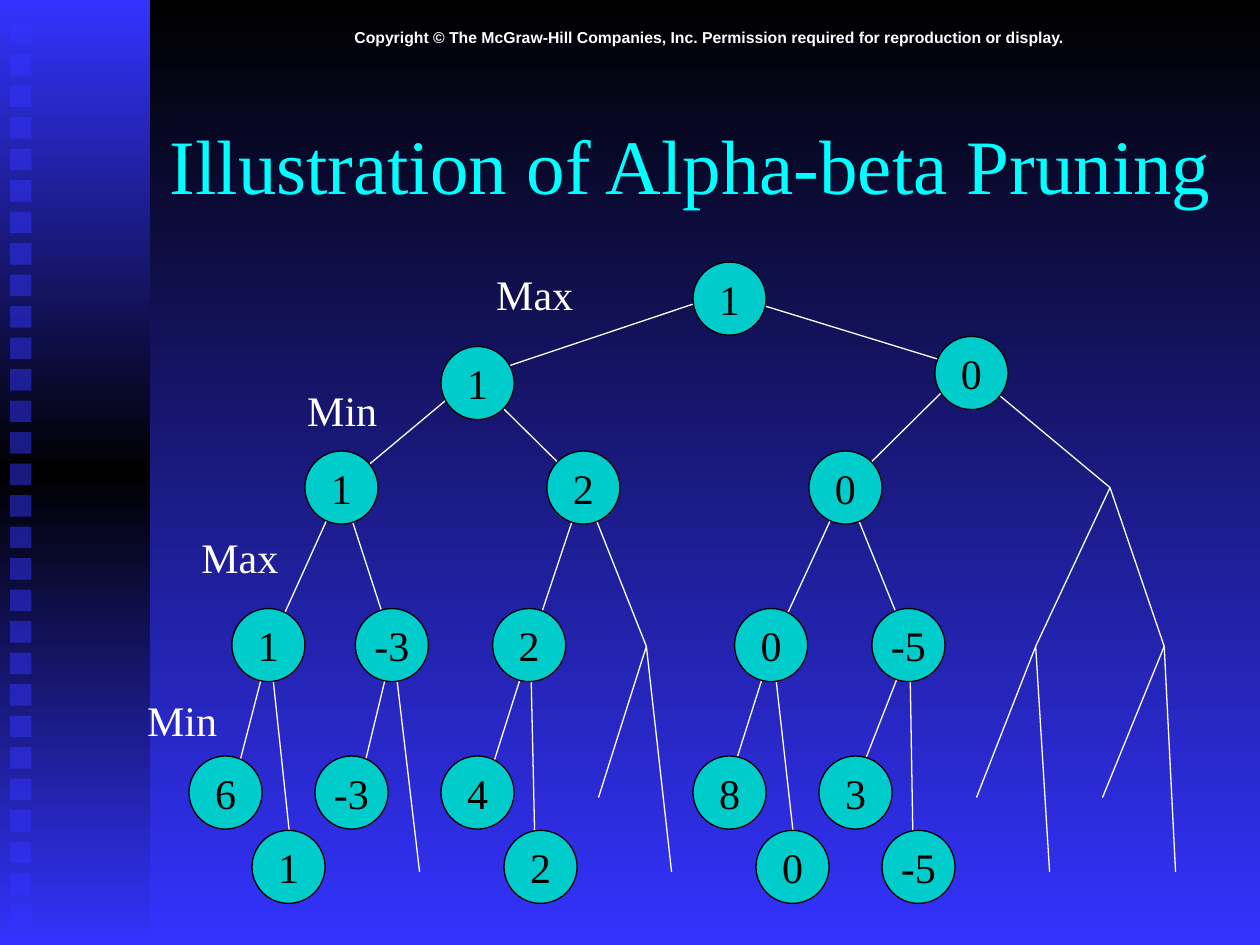
from copy import deepcopy

from lxml.etree import SubElement
from pptx import Presentation
from pptx.dml.color import RGBColor
from pptx.enum.shapes import MSO_CONNECTOR, MSO_SHAPE
from pptx.enum.text import MSO_ANCHOR, PP_ALIGN
from pptx.oxml.ns import qn
from pptx.util import Inches, Pt

# Content
COPYRIGHT = ("Copyright © The McGraw-Hill Companies, Inc. "
             "Permission required for reproduction or display.")
TITLE = "Illustration of Alpha-beta Pruning"
LEVEL_LABELS = [("Max", 3.84, 2.08), ("Min", 2.34, 3), ("Max", 1.5, 4.17), ("Min", 1.07, 5.46)]

# Each node is (x, value, children); a pruned node has no value
TREE = (5.75, "1", [
    (3.75, "1", [
        (2.71, "1", [
            (2.14, "1", [(1.83, "6", []), (2.33, "1", [])]),
            (3.12, "-3", [(2.83, "-3", []), (3.33, None, [])])]),
        (4.63, "2", [
            (4.21, "2", [(3.83, "4", []), (4.25, "2", [])]),
            (5.13, None, [(4.75, None, []), (5.33, None, [])])])]),
    (7.67, "0", [
        (6.71, "0", [
            (6.13, "0", [(5.75, "8", []), (6.33, "0", [])]),
            (7.22, "-5", [(6.75, "3", []), (7.25, "-5", [])])]),
        (8.81, None, [
            (8.22, None, [(7.75, None, []), (8.33, None, [])]),
            (9.24, None, [(8.75, None, []), (9.33, None, [])])])])])

# Layout, in inches: joint heights of the left and right child at each level
LEVEL_HEIGHTS = [(2.33, 2.33), (3, 2.92), (3.87, 3.87), (5.13, 5.13), (6.33, 6.92)]
LEVEL_INSETS = [0.25, 0.25, 0.29, 0.3, 0.33]  # from joint back to circle corner
LEAF_LEVEL = len(LEVEL_HEIGHTS) - 1
LEAF_COLUMN = 0.5
NODE_SIZE = 0.58
LABEL_WIDTH, LABEL_HEIGHT = 0.9, 0.5
SQUARE_COUNT, SQUARE_TOP, SQUARE_STEP, SQUARE_SIZE = 29, 0.18, 0.25, 0.17

COLORS = {"blue": "3333FF", "black": "000000", "white": "FFFFFF",
          "title": "00FFFF", "node": "00CCCC"}
SERIF, SANS = "Times New Roman", "Arial"


def color(name):
    return RGBColor.from_string(COLORS[name])


def set_stops(fill, names):
    for index, (stop, name) in enumerate(zip(fill.gradient_stops, names)):
        stop.color.rgb = color(name)
        stop.position = index / (len(names) - 1)
    fill.gradient_angle = 270


def write(shape, text, size, color_name, font=SERIF, bold=False, align=PP_ALIGN.LEFT,
          anchor=MSO_ANCHOR.TOP, wrap=True):
    frame = shape.text_frame
    frame.text = text
    frame.word_wrap = wrap
    frame.vertical_anchor = anchor
    paragraph = frame.paragraphs[0]
    paragraph.alignment = align
    run_font = paragraph.runs[0].font
    run_font.name, run_font.size, run_font.bold = font, Pt(size), bold
    run_font.color.rgb = color(color_name)


def add_text(slide, box, *args, **options):
    write(slide.shapes.add_textbox(*map(Inches, box)), *args, **options)


def add_plain_shape(slide, kind, box):
    shape = slide.shapes.add_shape(kind, *map(Inches, box))
    shape.shadow.inherit = False
    shape.line.fill.background()
    return shape


def add_sidebar(slide):
    band = add_plain_shape(slide, MSO_SHAPE.RECTANGLE, (0, 0, 1.19, 7.5))
    band.fill.gradient()
    stops = band._element.spPr.find(qn("a:gradFill")).find(qn("a:gsLst"))
    stops.append(deepcopy(stops[0]))
    set_stops(band.fill, ["blue", "black", "blue"])
    for row in range(SQUARE_COUNT):
        top = SQUARE_TOP + row * SQUARE_STEP
        square = add_plain_shape(slide, MSO_SHAPE.RECTANGLE,
                                 (0.08, top, SQUARE_SIZE, SQUARE_SIZE))
        square.fill.solid()
        square.fill.fore_color.rgb = color("blue")
        rgb = next(square._element.spPr.iter(qn("a:srgbClr")))
        SubElement(rgb, qn("a:alpha")).set("val", "50000")


def add_branches(slide, node, level=0, side=0):
    x, _, children = node
    for child_side, child in enumerate(children):
        ends = (x, LEVEL_HEIGHTS[level][side], child[0], LEVEL_HEIGHTS[level + 1][child_side])
        branch = slide.shapes.add_connector(MSO_CONNECTOR.STRAIGHT, *map(Inches, ends))
        branch.line.color.rgb = color("white")
        branch.line.width = Pt(0.75)
        SubElement(branch._element.spPr, qn("a:effectLst"))
        add_branches(slide, child, level + 1, child_side)


def add_nodes(slide, node, level=0, side=0):
    x, value, children = node
    if value is not None:
        inset = LEVEL_INSETS[level]
        left = x // LEAF_COLUMN * LEAF_COLUMN if level == LEAF_LEVEL else x - inset
        top = LEVEL_HEIGHTS[level][side] - inset
        circle = add_plain_shape(slide, MSO_SHAPE.OVAL, (left, top, NODE_SIZE, NODE_SIZE))
        circle.fill.solid()
        circle.fill.fore_color.rgb = color("node")
        circle.line.color.rgb = color("black")
        circle.line.width = Pt(0.75)
        write(circle, value, 24, "black", align=PP_ALIGN.CENTER, anchor=MSO_ANCHOR.MIDDLE,
              wrap=False)
    for child_side, child in enumerate(children):
        add_nodes(slide, child, level + 1, child_side)


def main():
    presentation = Presentation()
    presentation.slide_width, presentation.slide_height = Inches(10), Inches(7.5)
    slide = presentation.slides.add_slide(presentation.slide_layouts[6])

    # Background and sidebar
    background = slide.background.fill
    background.gradient()
    set_stops(background, ["black", "blue"])
    add_sidebar(slide)

    # Headings
    add_text(slide, (1.25, 0.17, 8.75, 0.25), COPYRIGHT, 9, "white", font=SANS, bold=True,
             align=PP_ALIGN.CENTER)
    add_text(slide, (1.25, 0.67, 8.5, 1.25), TITLE, 44, "title", anchor=MSO_ANCHOR.MIDDLE)

    # Game tree
    add_branches(slide, TREE)
    add_nodes(slide, TREE)
    for text, left, top in LEVEL_LABELS:
        add_text(slide, (left, top, LABEL_WIDTH, LABEL_HEIGHT), text, 24, "white")

    presentation.save("out.pptx")


if __name__ == "__main__":
    main()
